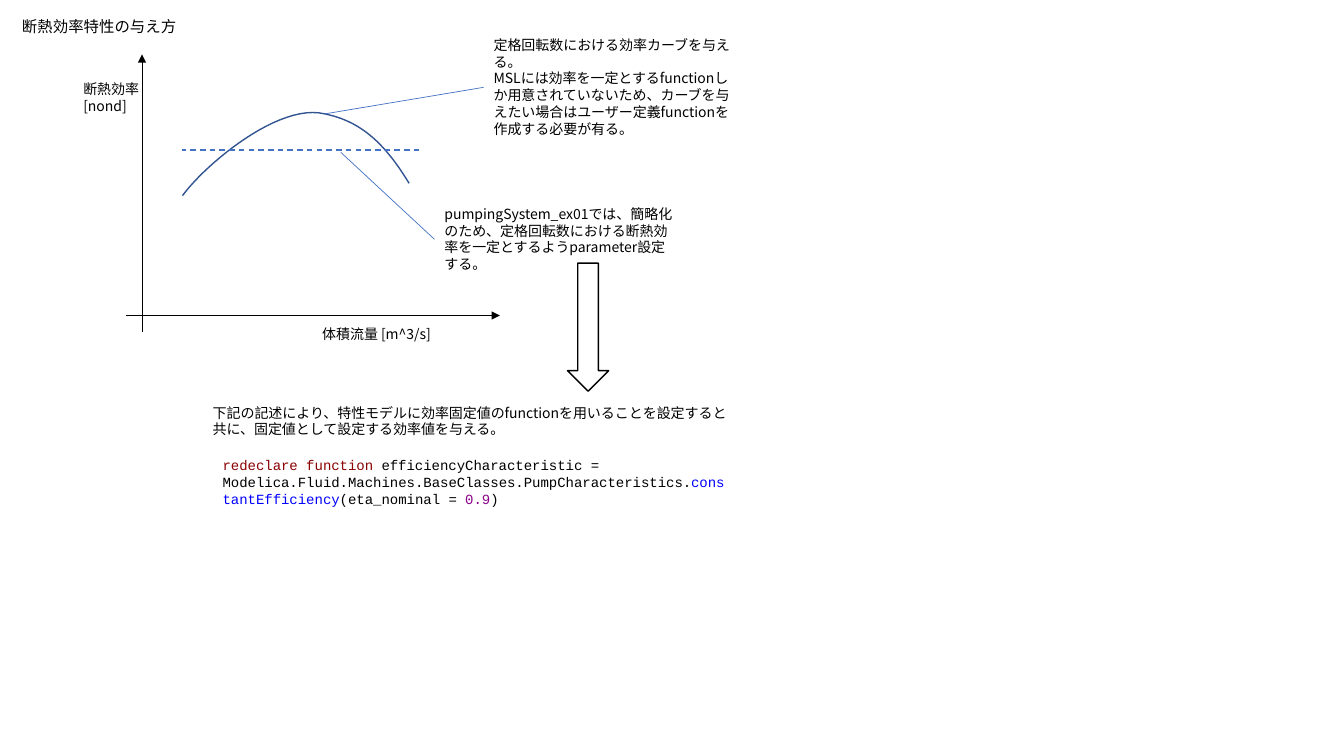
import pptx
import pptx.util
import pptx.dml.color
import pptx.enum.dml
import pptx.enum.shapes
import pptx.enum.text
import pptx.oxml
import pptx.oxml.ns
from pptx.util import Cm

HUES = {
    "ink": "000000",
    "paper": "FFFFFF",
    "curve": "325491",
    "guide": "4472C4",
    "key": "8B0000",
    "name": "0000FF",
    "value": "8B008B",
}
SANS = "Noto Sans CJK JP"
MONO = "Courier New"


def hue(name):
    return pptx.dml.color.RGBColor.from_string(HUES[name])


def add_tag(parent, tag, **attrs):
    node = pptx.oxml.parse_xml(f"<a:{tag} {pptx.oxml.ns.nsdecls('a')}/>")
    for key, value in attrs.items():
        node.set(key, value)
    parent.append(node)


def style_run(run, size, face, color):
    run.font.size = pptx.util.Pt(size)
    run.font.name = face
    run.font.color.rgb = hue(color)
    add_tag(run.font._element, "ea", typeface=face)


def style_frame(frame, size=10):
    frame.word_wrap = True
    frame.auto_size = pptx.enum.text.MSO_AUTO_SIZE.NONE
    frame.vertical_anchor = pptx.enum.text.MSO_ANCHOR.TOP
    for para in frame.paragraphs:
        para.alignment = pptx.enum.text.PP_ALIGN.LEFT
        para.line_spacing = pptx.util.Pt(size * 1.2)


def style_text(frame, text, size=10):
    frame.text = text
    style_frame(frame, size)
    for para in frame.paragraphs:
        for run in para.runs:
            style_run(run, size, SANS, "ink")


def set_title(slide, text, left, top, width, height):
    title = slide.shapes.title
    title.left, title.top = Cm(left), Cm(top)
    title.width, title.height = Cm(width), Cm(height)
    style_text(title.text_frame, text, 11)


def add_box(slide, left, top, width, height):
    return slide.shapes.add_textbox(Cm(left), Cm(top), Cm(width), Cm(height))


def add_note(slide, text, *place):
    box = add_box(slide, *place)
    style_text(box.text_frame, text)
    return box


def add_code(slide, parts, *place):
    frame = add_box(slide, *place).text_frame
    for text, color in parts:
        run = frame.paragraphs[0].add_run()
        run.text = text
        style_run(run, 10, MONO, color)
    style_frame(frame)


def add_line(slide, start, end, color, width=0.5):
    line = slide.shapes.add_connector(
        pptx.enum.shapes.MSO_CONNECTOR.STRAIGHT, *map(Cm, start + end))
    line.line.color.rgb = hue(color)
    line.line.width = pptx.util.Pt(width)
    add_tag(line._element.spPr, "effectLst")
    return line


def add_axis(slide, start, end):
    axis = add_line(slide, start, end, "ink")
    add_tag(axis.line._get_or_add_ln(), "tailEnd", type="triangle")


def add_call(slide, note, end):
    line = add_line(slide, (0, 0), end, "guide")
    line.begin_connect(note, 1)


def trace(points, steps=24):
    """Points along one cubic Bezier segment, without its start."""
    for step in range(1, steps + 1):
        t = step / steps
        mix = ((1 - t) ** 3, 3 * t * (1 - t) ** 2, 3 * t * t * (1 - t), t ** 3)
        yield tuple(Cm(sum(m * p[i] for m, p in zip(mix, points)))
                    for i in (0, 1))


def add_curve(slide, points):
    pen = slide.shapes.build_freeform(*map(Cm, points[0]))
    for first in range(0, len(points) - 1, 3):
        pen.add_line_segments(trace(points[first:first + 4]), close=False)
    curve = pen.convert_to_shape()
    curve.shadow.inherit = False
    curve.fill.background()
    curve.line.color.rgb = hue("curve")
    curve.line.width = pptx.util.Pt(1)


def add_arrow(slide, left, top, width, height):
    arrow = slide.shapes.add_shape(
        pptx.enum.shapes.MSO_SHAPE.DOWN_ARROW,
        Cm(left), Cm(top), Cm(width), Cm(height))
    arrow.shadow.inherit = False
    arrow.fill.solid()
    arrow.fill.fore_color.rgb = hue("paper")
    arrow.line.color.rgb = hue("ink")
    arrow.line.width = pptx.util.Pt(1)


def main():
    deck = pptx.Presentation()
    deck.slide_width, deck.slide_height = Cm(33.87), Cm(19.05)
    slide = deck.slides.add_slide(deck.slide_layouts[5])
    set_title(slide, "断熱効率特性の与え方", 0.3, 0.3, 6.58, 0.74)

    # Axes and their labels
    add_axis(slide, (3.18, 7.95), (12.6, 7.95))
    add_axis(slide, (3.58, 8.36), (3.58, 1.37))
    add_note(slide, "体積流量 [m^3/s]", 7.87, 8.08, 3.78, 0.69)
    add_note(slide, "断熱効率 [nond]", 1.85, 1.9, 2.97, 1.12)

    # Efficiency curve and constant level
    peak = (8.18, 2.87)
    add_curve(slide, [(4.6, 4.93), (5.21, 4.11), (7.04, 2.59), peak,
                      (9.07, 3.05), (9.68, 3.58), (10.31, 4.62)])
    level = add_line(slide, (10.57, 3.78), (4.6, 3.78), "guide", 1)
    level.line.dash_style = pptx.enum.dml.MSO_LINE.DASH

    # Notes with callout lines
    rated = add_note(
        slide,
        "定格回転数における効率カーブを与える。\n"
        "MSLには効率を一定とするfunctionしか用意されていないため、"
        "カーブを与えたい場合はユーザー定義functionを作成する必要が有る。",
        12.19, 0.79, 6.58, 2.82)
    add_call(slide, rated, peak)
    fixed = add_note(
        slide,
        "pumpingSystem_ex01では、簡略化のため、定格回転数における"
        "断熱効率を一定とするようparameter設定する。",
        10.95, 5.05, 6.27, 1.96)
    add_call(slide, fixed, (8.59, 3.84))

    # Resulting declaration
    add_code(slide, [
        ("redeclare function ", "key"),
        ("efficiencyCharacteristic = "
         "Modelica.Fluid.Machines.BaseClasses.PumpCharacteristics.", "ink"),
        ("constantEfficiency", "name"),
        ("(eta_nominal = ", "ink"),
        ("0.9", "value"),
        (")", "ink"),
    ], 5.36, 11.38, 13.2, 1.55)
    add_arrow(slide, 14.3, 6.63, 1.04, 3.23)
    add_note(
        slide,
        "下記の記述により、特性モデルに効率固定値のfunctionを用いることを"
        "設定すると共に、固定値として設定する効率値を与える。",
        5.11, 10.06, 13.69, 1.12)

    deck.save("out.pptx")


if __name__ == "__main__":
    main()
